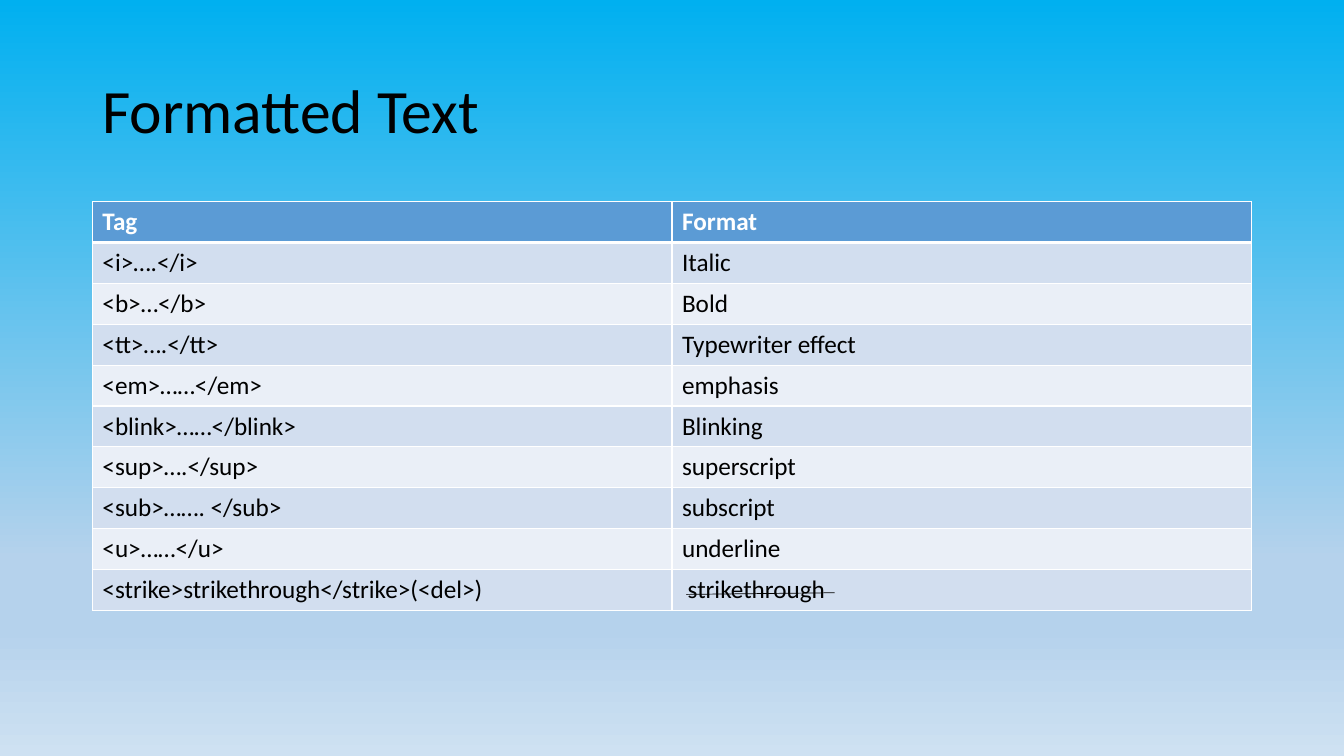
from lxml import etree
from pptx import Presentation
from pptx import util as u
from pptx.dml.color import RGBColor
from pptx.enum import shapes, text
from pptx.oxml import ns

# Content
TITLE = "Formatted Text"
ROWS = [
    ("Tag", "Format"),
    ("<i>….</i>", "Italic"),
    ("<b>…</b>", "Bold"),
    ("<tt>….</tt>", "Typewriter effect"),
    ("<em>……</em>", "emphasis"),
    ("<blink>……</blink>", "Blinking"),
    ("<sup>….</sup>", "superscript"),
    ("<sub>……. </sub>", "subscript"),
    ("<u>……</u>", "underline"),
    ("<strike>strikethrough</strike>(<del>)", " strikethrough"),
]

# Style
FONT = "Calibri"
BLACK = RGBColor(0x00, 0x00, 0x00)
WHITE = RGBColor(0xFF, 0xFF, 0xFF)
HEADER_BLUE = RGBColor(0x5B, 0x9B, 0xD5)
BANDS = [RGBColor(0xEA, 0xEF, 0xF7), RGBColor(0xD2, 0xDE, 0xEF)]
BACKGROUND_STOPS = [
    (0, RGBColor(0x00, 0xB0, 0xF0)),
    (74, RGBColor(0xB5, 0xD2, 0xEC)),
    (83, RGBColor(0xB5, 0xD2, 0xEC)),
    (100, RGBColor(0xCE, 0xE1, 0xF2)),
]

# Layout in points
LEFT, WIDTH = 66, 828
TITLE_TOP, TITLE_HEIGHT = 28.75, 104.4
TABLE_TOP, ROW_HEIGHT = 144, 29.2
STRIKE_START, STRIKE_END = (490.3, 424.6), (596.2, 423.4)


def add_element(parent, tag, **attributes):
    return etree.SubElement(parent, ns.qn(tag), attributes)


def set_font(paragraph, size, color, bold=False):
    paragraph.font.name = FONT
    paragraph.font.size = u.Pt(size)
    paragraph.font.bold = bold
    paragraph.font.color.rgb = color


def paint_background(slide):
    slide.background.fill.solid()
    solid = next(slide.element.iter(ns.qn("a:solidFill")))
    gradient = etree.Element(ns.qn("a:gradFill"), rotWithShape="1")
    stops = add_element(gradient, "a:gsLst")
    for percent, color in BACKGROUND_STOPS:
        stop = add_element(stops, "a:gs", pos=str(percent * 1000))
        add_element(stop, "a:srgbClr", val=str(color))
    add_element(gradient, "a:lin", ang="5400000", scaled="0")
    solid.getparent().replace(solid, gradient)


def set_borders(cell, top, bottom):
    properties = cell._tc.get_or_add_tcPr()
    for side, width in (("L", 1), ("R", 1), ("T", top), ("B", bottom)):
        line = add_element(properties, f"a:ln{side}", w=str(u.Pt(width)))
        fill = add_element(line, "a:solidFill")
        add_element(fill, "a:srgbClr", val=str(WHITE))


def add_title(slide):
    title = slide.shapes.title
    title.left, title.top = u.Pt(LEFT), u.Pt(TITLE_TOP)
    title.width, title.height = u.Pt(WIDTH), u.Pt(TITLE_HEIGHT)
    title.text_frame.text = TITLE
    title.text_frame.vertical_anchor = text.MSO_ANCHOR.MIDDLE
    paragraph = title.text_frame.paragraphs[0]
    paragraph.alignment = text.PP_ALIGN.LEFT
    paragraph.line_spacing = 0.9
    set_font(paragraph, 44, BLACK)


def add_tag_table(slide):
    table = slide.shapes.add_table(
        len(ROWS), len(ROWS[0]), u.Pt(LEFT), u.Pt(TABLE_TOP),
        u.Pt(WIDTH), u.Pt(ROW_HEIGHT * len(ROWS))).table
    for row, values in enumerate(ROWS):
        table.rows[row].height = u.Pt(ROW_HEIGHT)
        header = row == 0
        for column, value in enumerate(values):
            cell = table.cell(row, column)
            cell.text = value
            set_font(cell.text_frame.paragraphs[0], 18,
                     WHITE if header else BLACK, header)
            set_borders(cell, 3 if row == 1 else 1, 3 if header else 1)
            cell.fill.solid()
            cell.fill.fore_color.rgb = HEADER_BLUE if header else BANDS[row % 2]


def add_strike_line(slide):
    ends = [u.Pt(value) for value in STRIKE_START + STRIKE_END]
    strike = slide.shapes.add_connector(shapes.MSO_CONNECTOR.STRAIGHT, *ends)
    strike.line.color.rgb = BLACK
    strike.line.width = u.Pt(0.5)
    add_element(strike.element.spPr, "a:effectLst")


def main():
    presentation = Presentation()
    presentation.slide_width, presentation.slide_height = u.Pt(960), u.Pt(540)
    slide = presentation.slides.add_slide(presentation.slide_layouts[5])
    paint_background(slide)
    add_title(slide)
    add_tag_table(slide)
    add_strike_line(slide)
    presentation.save("out.pptx")


if __name__ == "__main__":
    main()
